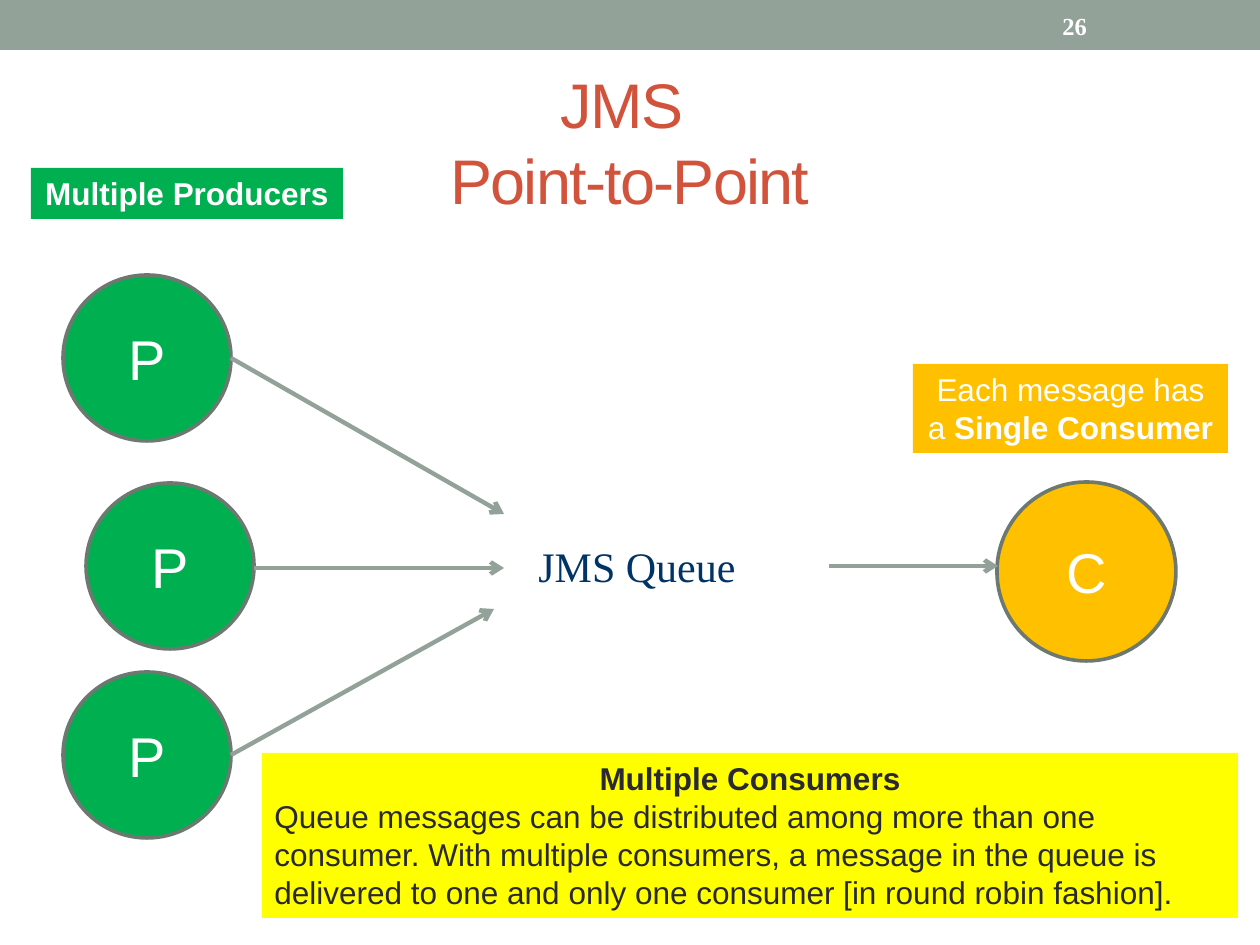
from lxml import etree
from pptx import Presentation
from pptx.dml.color import RGBColor
from pptx.enum.shapes import MSO_CONNECTOR, MSO_SHAPE
from pptx.enum.text import MSO_ANCHOR, MSO_AUTO_SIZE, PP_ALIGN
from pptx.oxml.ns import qn
from pptx.util import Emu, Pt

RECT, OVAL = MSO_SHAPE.RECTANGLE, MSO_SHAPE.OVAL
STRAIGHT = MSO_CONNECTOR.STRAIGHT
TOP, MIDDLE = MSO_ANCHOR.TOP, MSO_ANCHOR.MIDDLE
LEFT, CENTER = PP_ALIGN.LEFT, PP_ALIGN.CENTER
NO_FIT = MSO_AUTO_SIZE.NONE

GREEN, AMBER, YELLOW = "00B050", "FFC000", "FFFF00"
GREY, OUTLINE, WHITE = "93A299", "6D7871", "FFFFFF"
DARK, NAVY, RED = "292934", "003366", "D2533C"
SANS, SERIF = "Arial", "Times New Roman"

# Boxes are left, top, width, height in px
TITLE = ("JMS \vPoint-to-Point", (63, 73, 1134, 136))
BAR = (0, 0, 1260, 50)

# letter, fill, box
CIRCLES = [
    ("P", GREEN, (63, 275, 168, 166)),
    ("P", GREEN, (86, 483, 168, 166)),
    ("P", GREEN, (63, 672, 168, 166)),
    ("C", AMBER, (997, 482, 179, 179)),
]

# from x, from y, to x, to y
ARROWS = [
    (231, 358, 504, 514),
    (254, 568, 504, 568),
    (231, 755, 494, 609),
    (829, 566, 998, 566),
]

# fill, text colour, box, paragraphs of (alignment, runs of (text, bold))
NOTES = [
    (AMBER, WHITE, (913, 364, 315, 89),
     [(CENTER, [("Each message has a ", False), ("Single Consumer", True)])]),
    (GREEN, WHITE, (31, 168, 312, 51),
     [(CENTER, [("Multiple Producers", True)])]),
    (YELLOW, DARK, (262, 753, 976, 165),
     [(CENTER, [("Multiple Consumers", True)]),
      (LEFT, [("Queue messages can be distributed among more than one consumer. "
               "With multiple consumers, a message in the queue is delivered to "
               "one and only one consumer [in round robin fashion].", False)])]),
]

# text, box, font, size, colour, bold, alignment, anchor, wrap
LABELS = [
    ("26", (1050, 3, 147, 45), SERIF, 14, WHITE, True, LEFT, MIDDLE, True),
    ("JMS Queue", (525, 534, 224, 63), SERIF, 24, NAVY, False, CENTER, TOP, False),
]


def px(*values):
    return [Emu(round(v * 914400 / 126)) for v in values]


def rgb(color):
    return RGBColor.from_string(color)


def set_font(p, name, size, color, bold=None):
    p.font.name, p.font.size, p.font.bold = name, Pt(size), bold
    p.font.color.rgb = rgb(color)


def add_block(kind, box, fill, line=None):
    sp = slide.shapes.add_shape(kind, *px(*box))
    sp.shadow.inherit = False
    sp.fill.solid()
    sp.fill.fore_color.rgb = rgb(fill)
    if line:
        sp.line.color.rgb = rgb(line)
        sp.line.width = Pt(2.08)
    else:
        sp.line.fill.background()
    return sp


def add_arrow(points):
    line = slide.shapes.add_connector(STRAIGHT, *px(*points))
    line.line.color.rgb = rgb(GREY)
    line.line.width = Pt(2.5)
    etree.SubElement(line.line._get_or_add_ln(), qn("a:tailEnd"), type="arrow")
    etree.SubElement(line._element.spPr, qn("a:effectLst"))


prs = Presentation()
prs.slide_width, prs.slide_height = px(1260, 945)
slide = prs.slides.add_slide(prs.slide_layouts[5])

text, box = TITLE
title = slide.shapes.title
title.left, title.top, title.width, title.height = px(*box)
tf = title.text_frame
tf.text = text
tf.auto_size, tf.vertical_anchor = NO_FIT, MIDDLE
p = tf.paragraphs[0]
p.alignment = CENTER
set_font(p, SANS, 36, RED)
for r in p.runs:
    r.font._element.set("spc", "-100")

add_block(RECT, BAR, GREY)

for letter, fill, box in CIRCLES:
    tf = add_block(OVAL, box, fill, OUTLINE).text_frame
    tf.text, tf.vertical_anchor = letter, MIDDLE
    p = tf.paragraphs[0]
    p.alignment = CENTER
    set_font(p, SANS, 32, WHITE)

for points in ARROWS:
    add_arrow(points)

for fill, color, box, paragraphs in NOTES:
    tf = add_block(RECT, box, fill).text_frame
    tf.word_wrap, tf.vertical_anchor = True, TOP
    for i, (align, runs) in enumerate(paragraphs):
        p = tf.add_paragraph() if i else tf.paragraphs[0]
        p.alignment = align
        set_font(p, SANS, 18, color)
        for text, bold in runs:
            r = p.add_run()
            r.text, r.font.bold = text, bold

for text, box, font, size, color, bold, align, anchor, wrap in LABELS:
    tf = slide.shapes.add_textbox(*px(*box)).text_frame
    tf.text, tf.word_wrap, tf.vertical_anchor = text, wrap, anchor
    p = tf.paragraphs[0]
    p.alignment = align
    set_font(p, font, size, color, bold)

prs.save("out.pptx")
